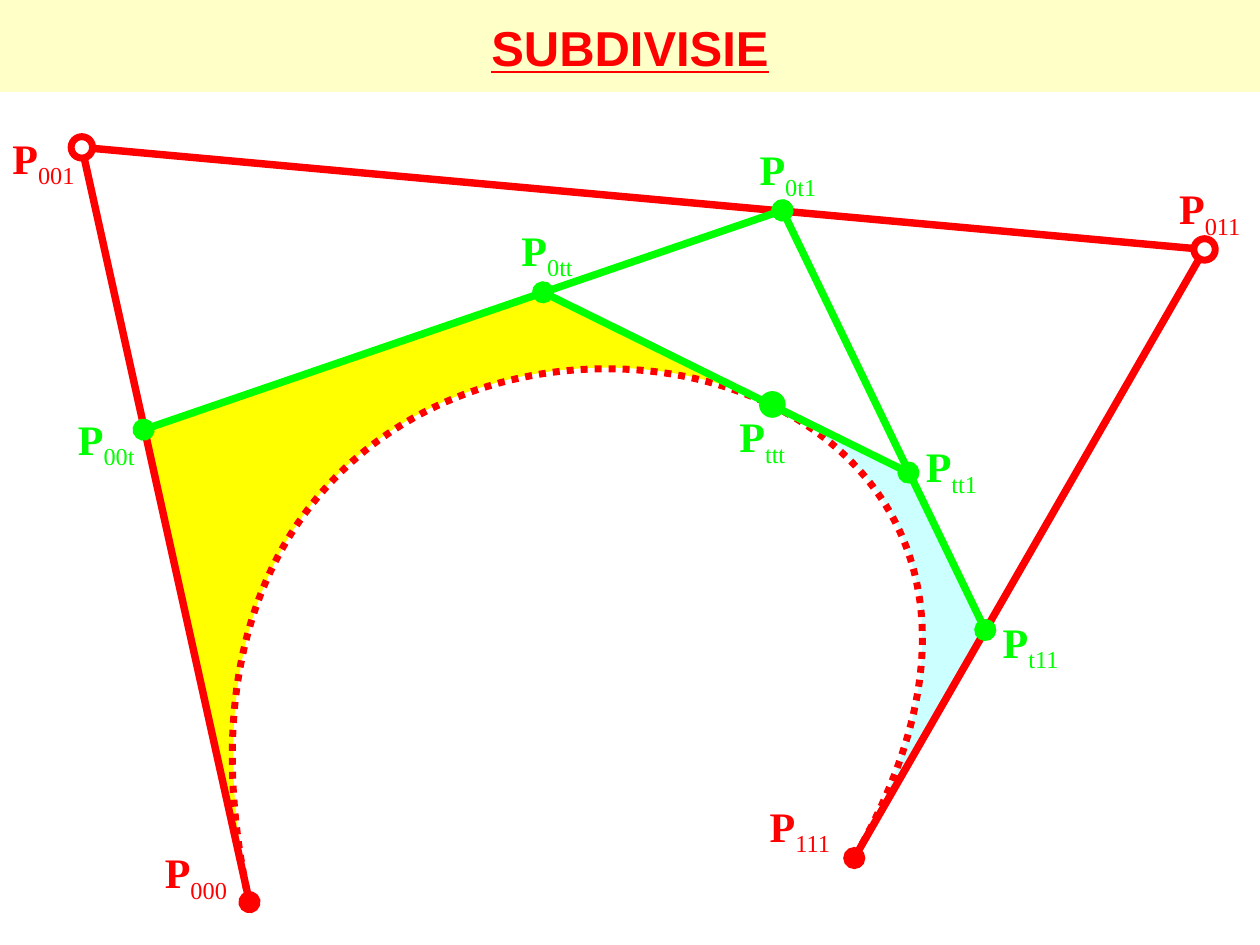
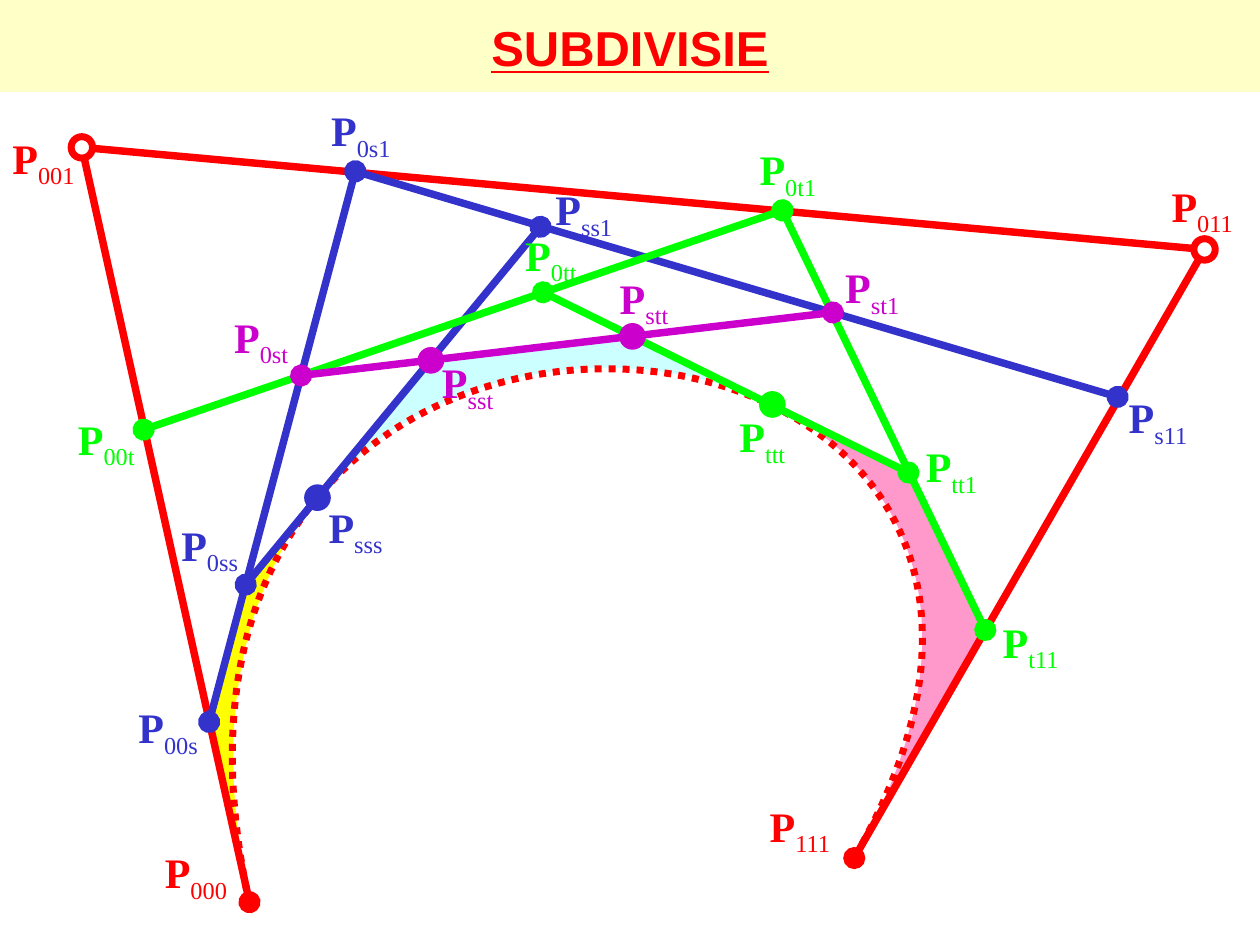
import pptx
import pptx.util
import pptx.dml.color
import pptx.enum.dml
import pptx.enum.shapes
import pptx.enum.text
import pptx.oxml
import pptx.oxml.ns
from pptx.util import Inches, Pt

RGB = pptx.dml.color.RGBColor
SHAPE = pptx.enum.shapes.MSO_SHAPE
RED = RGB(0xFF, 0x00, 0x00)
GREEN = RGB(0x00, 0xFF, 0x00)
BLUE = RGB(0x33, 0x33, 0xCC)
PURPLE = RGB(0xCC, 0x00, 0xCC)
YELLOW = RGB(0xFF, 0xFF, 0x00)
CYAN = RGB(0xCC, 0xFF, 0xFF)
PINK = RGB(0xFF, 0x99, 0xCC)
CREAM = RGB(0xFF, 0xFF, 0xC8)
WHITE = RGB(0xFF, 0xFF, 0xFF)

TITLE = "SUBDIVISIE"

# Points of the construction, named by their subscript
POINTS = {
    "000": (1.98, 7.16), "001": (0.65, 1.17), "011": (9.56, 1.98), "111": (6.78, 6.81),
    "00t": (1.14, 3.41), "0t1": (6.21, 1.67), "t11": (7.82, 5),
    "0tt": (4.31, 2.32), "tt1": (7.21, 3.75), "ttt": (6.13, 3.21),
    "00s": (1.66, 5.73), "0s1": (2.82, 1.36), "s11": (8.87, 3.15),
    "0ss": (1.95, 4.64), "ss1": (4.29, 1.8), "sss": (2.52, 3.95),
    "0st": (2.39, 2.98), "st1": (6.61, 2.48), "sst": (3.42, 2.86), "stt": (5.02, 2.67),
}
CONTROLS = ["000", "001", "011", "111"]

# Left and top of each label
LABELS = {
    "000": (1.21, 6.67), "001": (0, 1), "011": (9.26, 1.4), "111": (6.01, 6.3),
    "00t": (0.52, 3.23), "0t1": (5.93, 1.09), "t11": (7.86, 4.84),
    "0tt": (4.04, 1.73), "tt1": (7.25, 3.45), "ttt": (5.77, 3.21),
    "00s": (1, 5.52), "0s1": (2.53, 0.78), "s11": (8.86, 3.06),
    "0ss": (1.34, 4.07), "ss1": (4.31, 1.41), "sss": (2.51, 3.93),
    "0st": (1.76, 2.42), "st1": (6.61, 2.03), "sst": (3.41, 2.78), "stt": (4.82, 2.11),
}
WIDE_LABELS = {"ttt", "tt1", "sss", "st1", "sst", "stt"}

# Each step: colour, labelled points, lines, points with a large dot
T_STEP = (GREEN, ["ttt", "0tt", "t11", "0t1", "00t", "tt1"],
          [("0t1", "00t"), ("0t1", "t11"), ("0tt", "tt1")], ["ttt"])
S_STEP = (BLUE, ["0ss", "s11", "0s1", "00s", "sss", "ss1"],
          [("0s1", "00s"), ("0s1", "s11"), ("ss1", "0ss")], ["sss"])
MIXED_STEP = (PURPLE, ["0st", "st1", "stt", "sst"], [("st1", "0st")], ["sst", "stt"])

# Bezier outlines: a start, then two handles and an end for every piece
CURVE = [(1.98, 7.17), (0.65, 1.16), (9.56, 1.99), (6.78, 6.81)]
AFTER_T = [(6.78, 6.81), (7.82, 5), (7.22, 3.75), (6.13, 3.21),
           (7.05, 3.67), (5.59, 2.95), (7.22, 3.75),
           (7.75, 4.86), (7.06, 3.41), (7.82, 5),
           (6.9, 6.61), (8.08, 4.54), (6.78, 6.81)]
BEFORE_T = [(6.13, 3.21), (4.31, 2.32), (1.15, 3.41), (1.99, 7.17),
            (1.19, 3.61), (1.48, 4.9), (1.15, 3.41),
            (4.05, 2.41), (1.31, 3.36), (4.31, 2.32),
            (6.69, 3.49), (4.47, 2.4), (6.13, 3.21)]
S_TO_T = [(6.13, 3.21), (5.02, 2.67), (3.42, 2.86), (2.52, 3.95),
          (4.14, 1.97), (2.61, 3.84), (3.42, 2.86),
          (6.36, 2.51), (2.56, 2.96), (5.02, 2.67),
          (7.4, 3.84), (4.43, 2.38), (6.13, 3.21)]
BEFORE_S = [(2.52, 3.93), (1.95, 4.66), (1.66, 5.73), (1.99, 7.17),
            (1.19, 3.6), (1.97, 7.07), (1.66, 5.73),
            (2.14, 3.92), (1.7, 5.6), (1.95, 4.65),
            (3.28, 3.02), (2.01, 4.58), (2.52, 3.93)]

SLIDES = [
    {"panels": [], "regions": [(CYAN, AFTER_T), (YELLOW, BEFORE_T)],
     "steps": [T_STEP], "moved": {}},
    {"panels": [(3.62, 3.77, 2.67, 1.25)],
     "regions": [(CYAN, S_TO_T), (YELLOW, BEFORE_S), (PINK, AFTER_T)],
     "steps": [S_STEP, T_STEP, MIXED_STEP],
     "moved": {"0tt": (4.07, 1.77), "011": (9.2, 1.38)}},
]


def add_bezier(slide, outline, close):
    emu = [(Inches(x), Inches(y)) for x, y in outline]
    builder = slide.shapes.build_freeform(*emu[0], scale=1.0)
    builder.add_line_segments(emu[1:], close=close)
    shape = builder.convert_to_shape()
    shape.shadow.inherit = False
    # Join every three straight segments into one cubic piece
    segments = shape._element.findall(".//" + pptx.oxml.ns.qn("a:lnTo"))
    for i in range(0, 3 * (len(outline) // 3), 3):
        cubic = pptx.oxml.parse_xml(f'<a:cubicBezTo {pptx.oxml.ns.nsdecls("a")}/>')
        segments[i].addprevious(cubic)
        for segment in segments[i:i + 3]:
            cubic.append(segment[0])
            segment.getparent().remove(segment)
    return shape


def add_region(slide, color, outline):
    region = add_bezier(slide, outline, True)
    region.fill.solid()
    region.fill.fore_color.rgb = color
    region.line.fill.background()


def add_curve(slide):
    curve = add_bezier(slide, CURVE, False)
    curve.fill.background()
    curve.line.color.rgb = RED
    curve.line.width = Pt(4)
    curve.line.dash_style = pptx.enum.dml.MSO_LINE.ROUND_DOT


def add_line(slide, start, end, color, ovals):
    ends = [Inches(v) for v in POINTS[start] + POINTS[end]]
    line = slide.shapes.add_connector(pptx.enum.shapes.MSO_CONNECTOR.STRAIGHT, *ends)
    line.line.color.rgb = color
    line.line.width = Pt(4.25)
    outline = line.line._get_or_add_ln()
    for tag in ovals:
        outline.append(pptx.oxml.parse_xml(
            f'<a:{tag} {pptx.oxml.ns.nsdecls("a")} type="oval"/>'))
    line._element.spPr.append(pptx.oxml.parse_xml(
        f'<a:effectLst {pptx.oxml.ns.nsdecls("a")}/>'))


def add_filled(slide, kind, box, fill):
    shape = slide.shapes.add_shape(kind, *[Inches(v) for v in box])
    shape.shadow.inherit = False
    shape.fill.solid()
    shape.fill.fore_color.rgb = fill
    shape.line.fill.background()
    return shape


def add_dot(slide, name, fill, color, width):
    x, y = POINTS[name]
    size = 0.17
    dot = add_filled(slide, SHAPE.OVAL, (x - size / 2, y - size / 2, size, size), fill)
    dot.line.color.rgb = color
    dot.line.width = Pt(width)


def add_text(slide, box, pieces, font, size, color):
    frame = slide.shapes.add_textbox(*[Inches(v) for v in box]).text_frame
    frame.word_wrap = True
    for piece in pieces:
        run = frame.paragraphs[0].add_run()
        run.text = piece
        run.font.name = font
        run.font.size = Pt(size)
        run.font.color.rgb = color
        run.font.bold = True
    return frame


def add_label(slide, name, color, moved):
    width = 1.7 if name in WIDE_LABELS else 1.52
    box = (*moved.get(name, LABELS[name]), width, 0.68)
    frame = add_text(slide, box, ["P", name], "Times New Roman", 24, color)
    subscript = frame.paragraphs[0].runs[1].font
    subscript.bold = False
    subscript._element.set("baseline", "-25000")


def add_title(slide):
    add_filled(slide, SHAPE.RECTANGLE, (0, 0, 10, 0.73), CREAM)
    frame = add_text(slide, (0, 0, 10, 0.75), [TITLE], "Arial", 28, RED)
    frame.vertical_anchor = pptx.enum.text.MSO_ANCHOR.MIDDLE
    frame.paragraphs[0].alignment = pptx.enum.text.PP_ALIGN.CENTER
    frame.paragraphs[0].runs[0].font.underline = True


def add_control_polygon(slide, moved):
    for name in CONTROLS:
        add_label(slide, name, RED, moved)
    add_line(slide, "011", "001", RED, [])
    add_line(slide, "011", "111", RED, ["tailEnd"])
    add_line(slide, "000", "001", RED, ["headEnd"])
    for name in ("001", "011"):
        add_dot(slide, name, WHITE, RED, 4)
    add_curve(slide)


def add_step(slide, step, moved):
    color, labels, lines, dots = step
    for name in labels:
        add_label(slide, name, color, moved)
    for start, end in lines:
        add_line(slide, start, end, color, ["headEnd", "tailEnd"])
    for name in dots:
        add_dot(slide, name, color, color, 3)


def main():
    deck = pptx.Presentation()
    deck.slide_width, deck.slide_height = Inches(10), Inches(7.5)
    for content in SLIDES:
        slide = deck.slides.add_slide(deck.slide_layouts[6])
        add_title(slide)
        for panel in content["panels"]:
            add_filled(slide, SHAPE.RECTANGLE, panel, WHITE)
        for color, outline in content["regions"]:
            add_region(slide, color, outline)
        add_control_polygon(slide, content["moved"])
        for step in content["steps"]:
            add_step(slide, step, content["moved"])
    deck.save("out.pptx")


if __name__ == "__main__":
    main()
